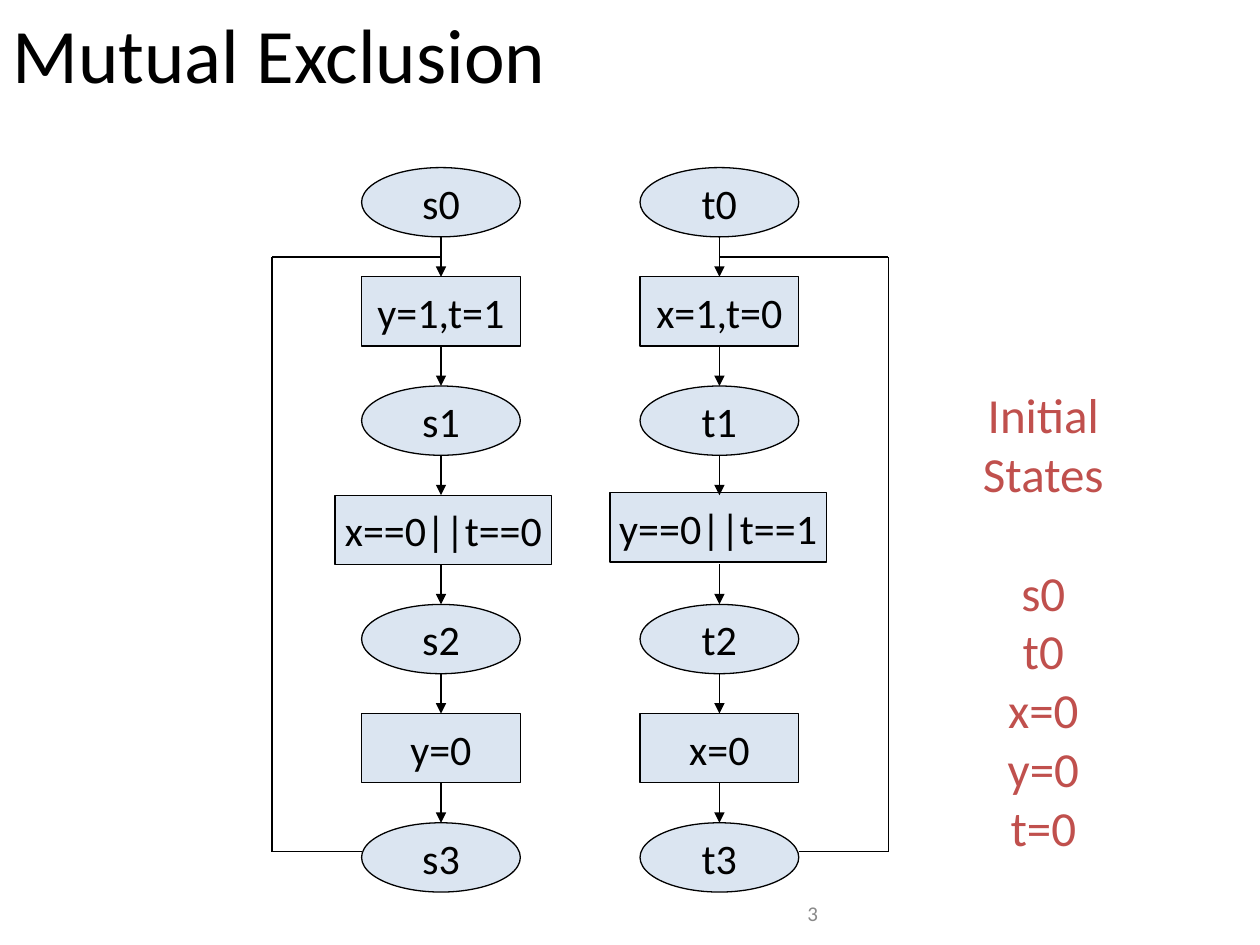
from lxml import etree
from pptx import Presentation
from pptx.dml.color import RGBColor
from pptx.enum.shapes import MSO_CONNECTOR, MSO_SHAPE
from pptx.enum.text import MSO_ANCHOR, PP_ALIGN
from pptx.oxml.ns import qn
from pptx.util import Inches, Pt

OVAL, RECT = MSO_SHAPE.OVAL, MSO_SHAPE.RECTANGLE
STRAIGHT = MSO_CONNECTOR.STRAIGHT
MIDDLE = MSO_ANCHOR.MIDDLE
LEFT, CENTER, RIGHT = PP_ALIGN.LEFT, PP_ALIGN.CENTER, PP_ALIGN.RIGHT

BLACK = RGBColor(0x00, 0x00, 0x00)
BLUE = RGBColor(0x4F, 0x81, 0xBD)
RED = RGBColor(0xC0, 0x50, 0x4D)
GRAY = RGBColor(0x89, 0x89, 0x89)


class Diagram:
    font = "Calibri"
    line_width = Pt(0.75)
    fill_opacity = 20  # percent

    def __init__(self, slide):
        self.slide = slide

    def set_text(self, frame, lines, size, color, align):
        frame.vertical_anchor = MIDDLE
        frame.text = "\n".join(lines)
        for paragraph in frame.paragraphs:
            paragraph.alignment = align
            font = paragraph.runs[0].font
            font.name, font.size = self.font, Pt(size)
            font.color.rgb = color

    def text(self, x, y, w, h, lines, size, color, align):
        box = self.slide.shapes.add_textbox(
            Inches(x), Inches(y), Inches(w), Inches(h))
        box.text_frame.word_wrap = True
        self.set_text(box.text_frame, lines, size, color, align)
        return box.text_frame

    def node(self, kind, x, y, w, h, label):
        node = self.slide.shapes.add_shape(
            kind, Inches(x), Inches(y), Inches(w), Inches(h))
        node.shadow.inherit = False
        node.fill.solid()
        node.fill.fore_color.rgb = BLUE
        tint = node._element.spPr.find(qn("a:solidFill"))[0]
        etree.SubElement(tint, qn("a:alpha"), val=str(self.fill_opacity * 1000))
        node.line.color.rgb = BLACK
        node.line.width = self.line_width
        node.text_frame.word_wrap = False
        self.set_text(node.text_frame, [label], 24, BLACK, CENTER)

    def line(self, start, end, arrow=False):
        line = self.slide.shapes.add_connector(
            STRAIGHT, *(Inches(value) for value in (*start, *end)))
        line.line.color.rgb = BLACK
        line.line.width = self.line_width
        properties = line._element.spPr
        if arrow:
            etree.SubElement(properties.find(qn("a:ln")), qn("a:tailEnd"),
                             type="triangle")
        etree.SubElement(properties, qn("a:effectLst"))


# Flowchart grid
TOP, BOTTOM = 1.33, 6.53
NODE_W, WIDE_W, NODE_H = 1.26, 1.72, 0.55
LOOP_TOP, LOOP_BOTTOM = 2.04, 6.76
GUARD_ROW = 3

# Axis, loop side, loop x, guard left and top, labels from top to bottom
PROCESSES = [
    (3.5, -1, 2.16, 2.66, 3.93,
     ["s0", "y=1,t=1", "s1", "x==0||t==0", "s2", "y=0", "s3"]),
    (5.71, 1, 7.05, 4.84, 3.91,
     ["t0", "x=1,t=0", "t1", "y==0||t==1", "t2", "x=0", "t3"]),
]


def draw_process(diagram, axis, side, loop_x, guard_x, guard_y, labels):
    step = (BOTTOM - TOP) / (len(labels) - 1)
    for row, label in enumerate(labels):
        y = TOP + row * step
        kind = RECT if row % 2 else OVAL
        if row == GUARD_ROW:
            diagram.node(kind, guard_x, guard_y, WIDE_W, NODE_H, label)
        else:
            diagram.node(kind, axis - NODE_W / 2, y, NODE_W, NODE_H, label)
        if row:
            diagram.line((axis, y - step + NODE_H), (axis, y), arrow=True)

    # Loop back from the last state to the first action
    corners = [(axis + side * NODE_W / 2, LOOP_BOTTOM), (loop_x, LOOP_BOTTOM),
               (loop_x, LOOP_TOP), (axis, LOOP_TOP)]
    for start, end in zip(corners, corners[1:]):
        diagram.line(start, end)


def main():
    deck = Presentation()
    deck.slide_width, deck.slide_height = Inches(10), Inches(7.5)
    diagram = Diagram(deck.slides.add_slide(deck.slide_layouts[6]))

    # Title
    diagram.text(0, 0, 10, 0.84, ["Mutual Exclusion"], 44, BLACK, LEFT)

    # The two processes
    for process in PROCESSES:
        draw_process(diagram, *process)

    # Initial states, with a line's gap below the heading
    states = diagram.text(
        7.34, 3.05, 1.88, 3.75,
        ["Initial States", "s0", "t0", "x=0", "y=0", "t=0"], 28, RED, CENTER)
    states.paragraphs[1].space_before = Pt(34)

    # Slide number
    diagram.text(3.42, 7.05, 3.17, 0.4, ["3"], 12, GRAY, RIGHT)

    deck.save("out.pptx")


if __name__ == "__main__":
    main()
